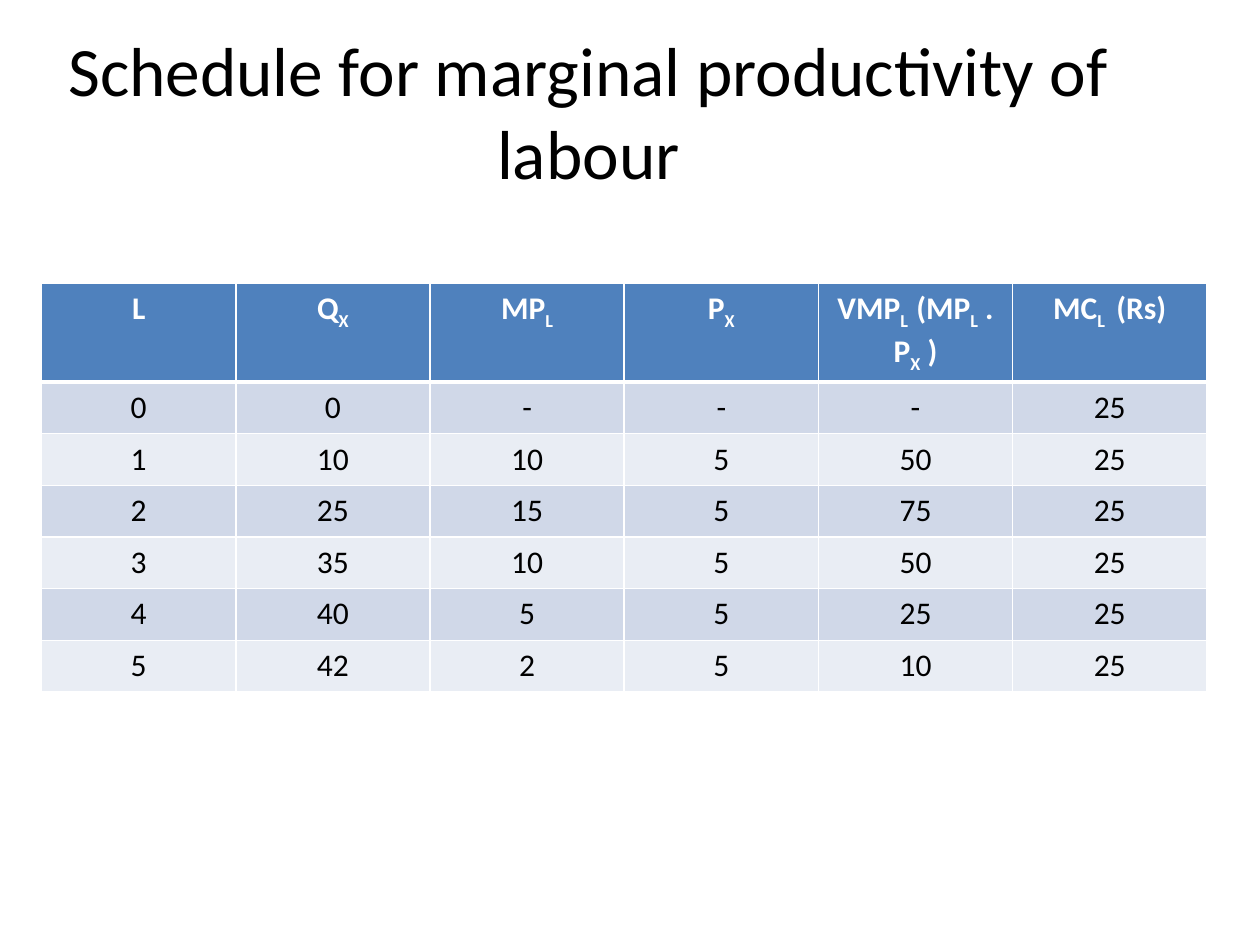
from dataclasses import dataclass
from lxml.etree import SubElement
from pptx import Presentation
from pptx.dml.color import RGBColor as RGB
from pptx.enum.text import MSO_ANCHOR as Anchor, PP_ALIGN as Align
from pptx.oxml.ns import qn
from pptx.util import Inches, Pt


@dataclass(frozen=True)
class Theme:
    """Colours and type sizes of the slide."""
    font: str = "Calibri"
    title_size: float = 39.6
    body_size: float = 18
    ink: str = "000000"
    paper: str = "FFFFFF"
    header: str = "4F81BD"
    bands: tuple = ("D0D8E8", "E9EDF4")


THEME = Theme()
HEADINGS = [
    ["L"],
    ["Q", "X"],
    ["MP", "L"],
    ["P", "X"],
    ["VMP", "L  ", "(MP", "L", " . P", "X", " )"],
    ["MC", "L ", " (Rs)"],
]
SCHEDULE = [
    ["0", "0", "-", "-", "-", "25"],
    ["1", "10", "10", "5", "50", "25"],
    ["2", "25", "15", "5", "75", "25"],
    ["3", "35", "10", "5", "50", "25"],
    ["4", "40", "5", "5", "25", "25"],
    ["5", "42", "2", "5", "10", "25"],
]


def write(p, parts, size, color, bold=False):
    """Write centred runs, with every second part as a subscript."""
    p.alignment = Align.CENTER
    for i, part in enumerate(parts):
        r = p.add_run()
        r.text = part
        r.font.name, r.font.size, r.font.bold = THEME.font, Pt(size), bold
        r.font.color.rgb = RGB.from_string(color)
        if i % 2:
            r.font._element.set("baseline", "-25000")


def set_borders(cell, bottom):
    """Draw the cell's four borders, with the given bottom width in points."""
    tcPr = cell._tc.get_or_add_tcPr()
    widths = {"a:lnL": 1, "a:lnR": 1, "a:lnT": 1, "a:lnB": bottom}
    for i, (tag, width) in enumerate(widths.items()):
        ln = SubElement(tcPr, qn(tag), w=str(Pt(width)))
        fill = SubElement(ln, qn("a:solidFill"))
        SubElement(fill, qn("a:srgbClr"), val=THEME.paper)
        tcPr.insert(i, ln)


def add_title(slide, left, top, width, height, text):
    """Place the title in its box."""
    box = slide.shapes.add_textbox(*map(Inches, (left, top, width, height)))
    tf = box.text_frame
    tf.word_wrap = True
    tf.vertical_anchor = Anchor.MIDDLE
    write(tf.paragraphs[0], [text], THEME.title_size, THEME.ink)


def add_schedule(slide, left, top, width, row_height):
    """Place the schedule with equal columns and banded rows."""
    rows = [HEADINGS] + [[[value] for value in row] for row in SCHEDULE]
    frame = slide.shapes.add_table(
        len(rows), len(HEADINGS), Inches(left), Inches(top),
        Inches(width), Inches(row_height * len(rows)))
    for r, row in enumerate(rows):
        is_header = r == 0
        fill = THEME.header if is_header else THEME.bands[(r - 1) % 2]
        color = THEME.paper if is_header else THEME.ink
        for c, parts in enumerate(row):
            cell = frame.table.cell(r, c)
            cell.fill.solid()
            cell.fill.fore_color.rgb = RGB.from_string(fill)
            set_borders(cell, 3 if is_header else 1)
            write(cell.text_frame.paragraphs[0], parts, THEME.body_size, color, is_header)


def main():
    """Build and save the slide."""
    prs = Presentation()
    prs.slide_width, prs.slide_height = Inches(10), Inches(7.5)
    slide = prs.slides.add_slide(prs.slide_layouts[6])
    add_title(slide, 0.17, 0.25, 9, 1.25, "Schedule for marginal productivity of labour")
    add_schedule(slide, 0.33, 2.25, 9.25, 0.41)
    prs.save("out.pptx")


main()
